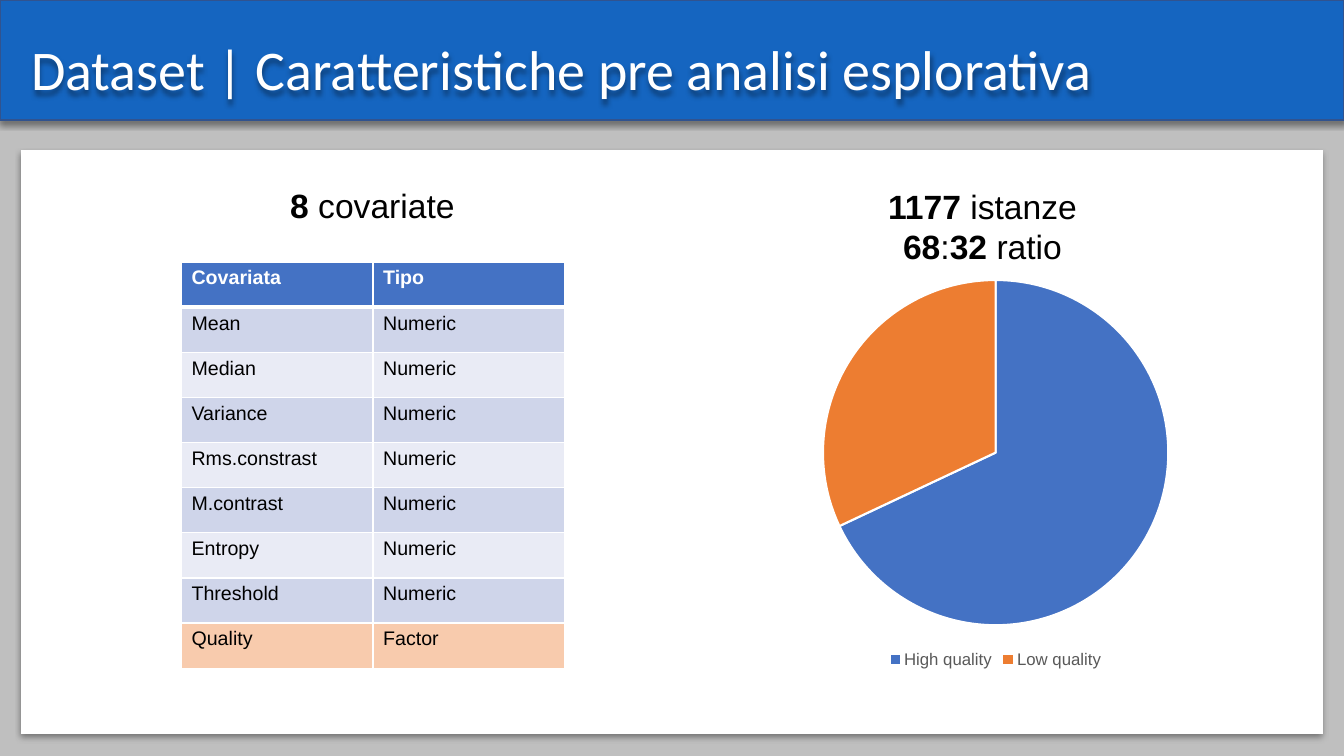
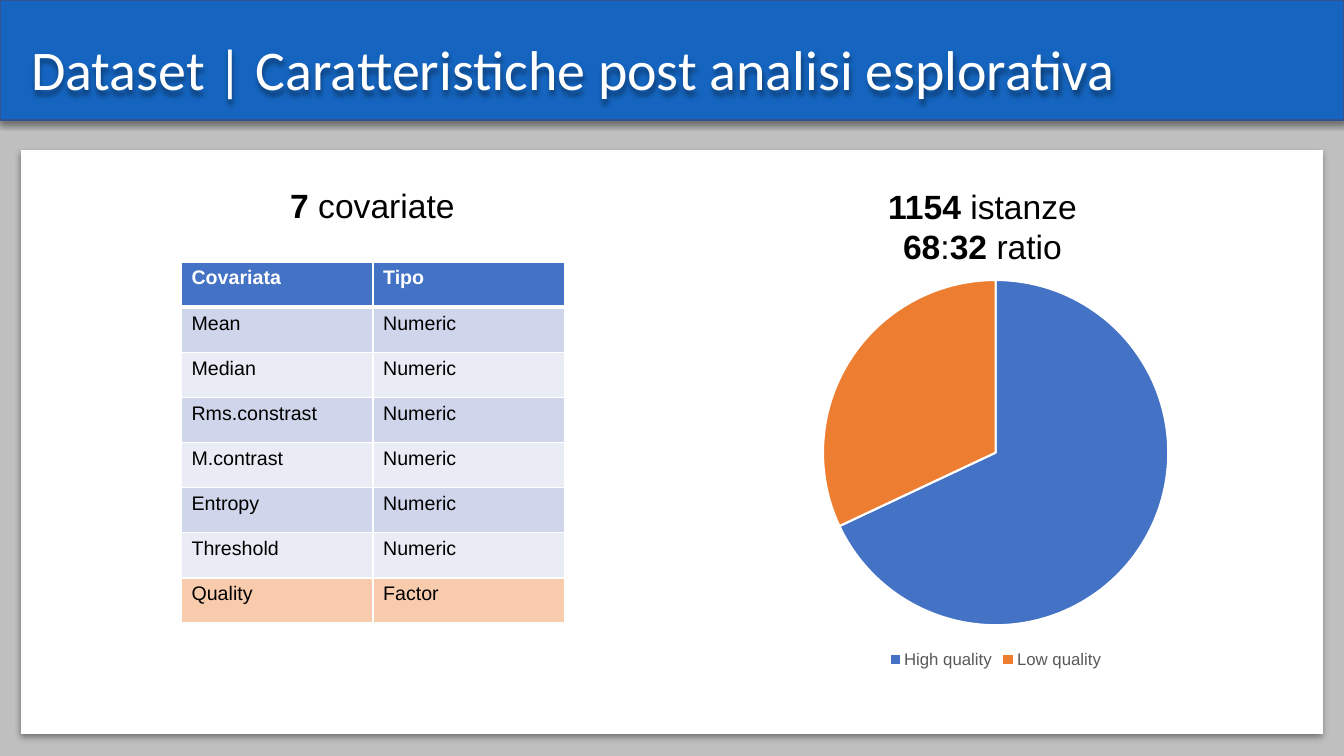
"""Build the two dataset slides: covariate table and class ratio pie."""
import pptx
import pptx.chart.data
import pptx.dml.color
import pptx.enum.chart
import pptx.enum.shapes
import pptx.enum.text
import pptx.oxml
import pptx.oxml.ns
import pptx.util

Inches = pptx.util.Inches
Pt = pptx.util.Pt
Align = pptx.enum.text.PP_ALIGN

COLORS = {
    "background": "BFBFBF", "band": "1565C0", "band_line": "31538F",
    "white": "FFFFFF", "black": "000000", "legend": "595959",
    "header": "4472C4", "odd_row": "CFD5EA", "even_row": "E9EBF5",
    "target_row": "F8CBAD", "high": "4472C4", "low": "ED7D31",
}
BODY_FONT = "Arial"
TITLE_FONT = "Calibri"
MARGIN = Inches(0.21)
PANEL_WIDTH = Inches(12.91)
HEADING_TOP = Inches(1.79)
COLUMN_WIDTH = Inches(1.9)
ROW_HEIGHT = Inches(4.03 / 9)

HEADER = ("Covariata", "Tipo")
TARGET = ("Quality", "Factor")
RATIO = {"High quality": (68, "high"), "Low quality": (32, "low")}
SLIDES = [
    {
        "title": "Dataset | Caratteristiche pre analisi esplorativa",
        "instances": "1177",
        "covariates": ["Mean", "Median", "Variance", "Rms.constrast",
                       "M.contrast", "Entropy", "Threshold"],
    },
    {
        "title": "Dataset | Caratteristiche post analisi esplorativa",
        "instances": "1154",
        "covariates": ["Mean", "Median", "Rms.constrast",
                       "M.contrast", "Entropy", "Threshold"],
    },
]


def rgb(name):
    return pptx.dml.color.RGBColor.from_string(COLORS[name])


def style_font(font, size, color, bold=False, name=BODY_FONT):
    font.name = name
    font.size = Pt(size)
    font.bold = bold
    font.color.rgb = rgb(color)


def add_run(paragraph, text, size, color, bold=False, name=BODY_FONT):
    run = paragraph.add_run()
    run.text = text
    style_font(run.font, size, color, bold, name)


def add_shadow(shape):
    shape.shadow.inherit = False
    effects = shape.element.spPr.find(pptx.oxml.ns.qn("a:effectLst"))
    effects.append(pptx.oxml.parse_xml(
        f'<a:outerShdw {pptx.oxml.ns.nsdecls("a")} blurRad="{Pt(4)}" dist="{Pt(3)}" '
        'dir="5400000" algn="t" rotWithShape="0">'
        f'<a:srgbClr val="{COLORS["black"]}"><a:alpha val="40000"/></a:srgbClr>'
        '</a:outerShdw>'))


def add_block(slide, left, top, width, height, fill, line=None):
    block = slide.shapes.add_shape(
        pptx.enum.shapes.MSO_SHAPE.RECTANGLE, left, top, width, height)
    block.fill.solid()
    block.fill.fore_color.rgb = rgb(fill)
    if line:
        block.line.color.rgb = rgb(line)
        block.line.width = Pt(1)
    else:
        block.line.fill.background()
    add_shadow(block)
    return block


def add_frame(slide, slide_width, text):
    title = slide.shapes.title
    band = add_block(slide, 0, 0, slide_width, Inches(1.19), "band", "band_line")
    title.element.addprevious(band.element)
    add_block(slide, MARGIN, Inches(1.49), PANEL_WIDTH, Inches(5.79), "white")

    title.left, title.top = MARGIN, Inches(0.19)
    title.width, title.height = PANEL_WIDTH, Inches(0.88)
    add_shadow(title)
    frame = title.text_frame
    frame.auto_size = pptx.enum.text.MSO_AUTO_SIZE.NONE
    frame.vertical_anchor = pptx.enum.text.MSO_ANCHOR.BOTTOM
    paragraph = frame.paragraphs[0]
    paragraph.alignment = Align.LEFT
    paragraph.line_spacing = 0.9
    add_run(paragraph, text, 40, "white", name=TITLE_FONT)


def add_heading(slide, left, width, height, lines):
    box = slide.shapes.add_textbox(left, HEADING_TOP, width, height)
    frame = box.text_frame
    frame.word_wrap = False
    frame.auto_size = pptx.enum.text.MSO_AUTO_SIZE.SHAPE_TO_FIT_TEXT
    for index, (alignment, runs) in enumerate(lines):
        paragraph = frame.add_paragraph() if index else frame.paragraphs[0]
        paragraph.alignment = alignment
        for text, bold in runs:
            add_run(paragraph, text, 24, "black", bold)


def add_borders(cell, top, bottom):
    properties = cell._tc.get_or_add_tcPr()
    for side, width in (("L", 1), ("R", 1), ("T", top), ("B", bottom)):
        properties.append(pptx.oxml.parse_xml(
            f'<a:ln{side} {pptx.oxml.ns.nsdecls("a")} w="{Pt(width)}"><a:solidFill>'
            f'<a:srgbClr val="{COLORS["white"]}"/></a:solidFill></a:ln{side}>'))


def add_covariate_table(slide, covariates):
    rows = [HEADER, *((name, "Numeric") for name in covariates), TARGET]
    table = slide.shapes.add_table(
        len(rows), len(HEADER), Inches(1.8), Inches(2.6),
        COLUMN_WIDTH * len(HEADER), ROW_HEIGHT * len(rows)).table
    for column in table.columns:
        column.width = COLUMN_WIDTH
    for row_index, values in enumerate(rows):
        is_header = row_index == 0
        if is_header:
            fill = "header"
        elif values == TARGET:
            fill = "target_row"
        else:
            fill = "odd_row" if row_index % 2 else "even_row"
        table.rows[row_index].height = ROW_HEIGHT
        for column_index, text in enumerate(values):
            cell = table.cell(row_index, column_index)
            add_borders(cell, 3 if row_index == 1 else 1, 3 if is_header else 1)
            cell.fill.solid()
            cell.fill.fore_color.rgb = rgb(fill)
            add_run(cell.text_frame.paragraphs[0], text, 14,
                    "white" if is_header else "black", is_header)


def add_ratio_chart(slide):
    data = pptx.chart.data.CategoryChartData()
    data.categories = list(RATIO)
    data.add_series("Series 1", [value for value, color in RATIO.values()])
    chart = slide.shapes.add_chart(
        pptx.enum.chart.XL_CHART_TYPE.PIE, Inches(6.63), Inches(2.64),
        Inches(6.49), Inches(4.03), data).chart
    style_font(chart.font, 10, "black")
    chart.has_title = False
    chart.has_legend = True
    chart.legend.position = pptx.enum.chart.XL_LEGEND_POSITION.BOTTOM
    chart.legend.include_in_layout = False
    style_font(chart.legend.font, 12, "legend")
    plot = chart.plots[0]
    plot.vary_by_categories = True
    for index, (value, color) in enumerate(RATIO.values()):
        slice_format = plot.series[0].points[index].format
        slice_format.fill.solid()
        slice_format.fill.fore_color.rgb = rgb(color)
        slice_format.line.color.rgb = rgb("white")
        slice_format.line.width = Pt(1.5)


def main():
    presentation = pptx.Presentation()
    presentation.slide_width = Inches(13.33)
    presentation.slide_height = Inches(7.5)
    background = presentation.slide_master.background.fill
    background.solid()
    background.fore_color.rgb = rgb("background")
    high, low = (str(value) for value, color in RATIO.values())
    for content in SLIDES:
        slide = presentation.slides.add_slide(presentation.slide_layouts[5])
        covariates = content["covariates"]
        add_frame(slide, presentation.slide_width, content["title"])
        add_covariate_table(slide, covariates)
        add_heading(slide, Inches(8.71), Inches(2.11), Inches(0.91), [
            (Align.LEFT, [(content["instances"] + " ", True), ("istanze", False)]),
            (Align.CENTER, [(high, True), (":", False),
                            (low + " ", True), ("ratio", False)]),
        ])
        add_heading(slide, Inches(2.78), Inches(1.85), Inches(0.5), [
            (Align.LEFT, [(f"{len(covariates) + 1} ", True), ("covariate", False)]),
        ])
        add_ratio_chart(slide)
    presentation.save("out.pptx")


if __name__ == "__main__":
    main()
